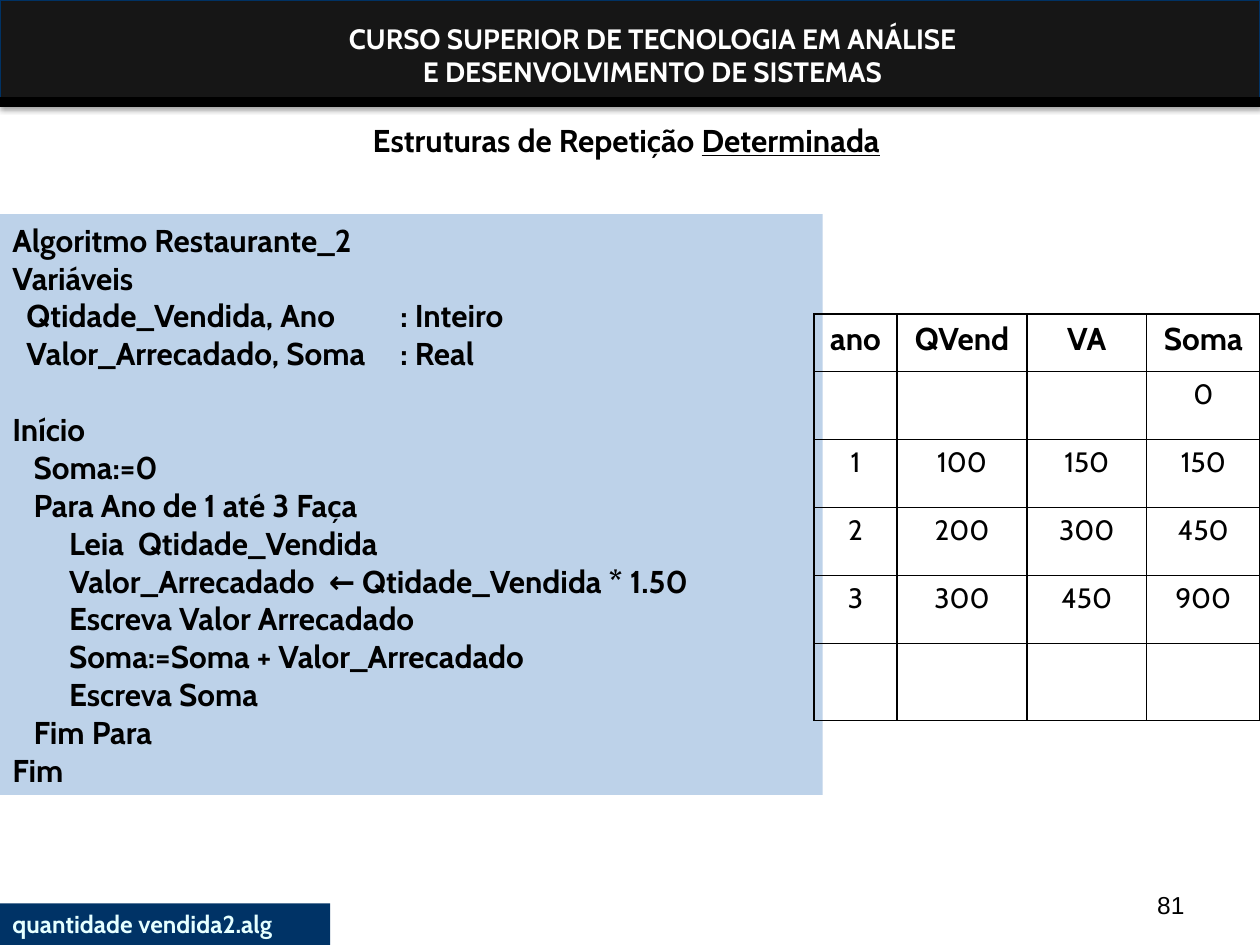
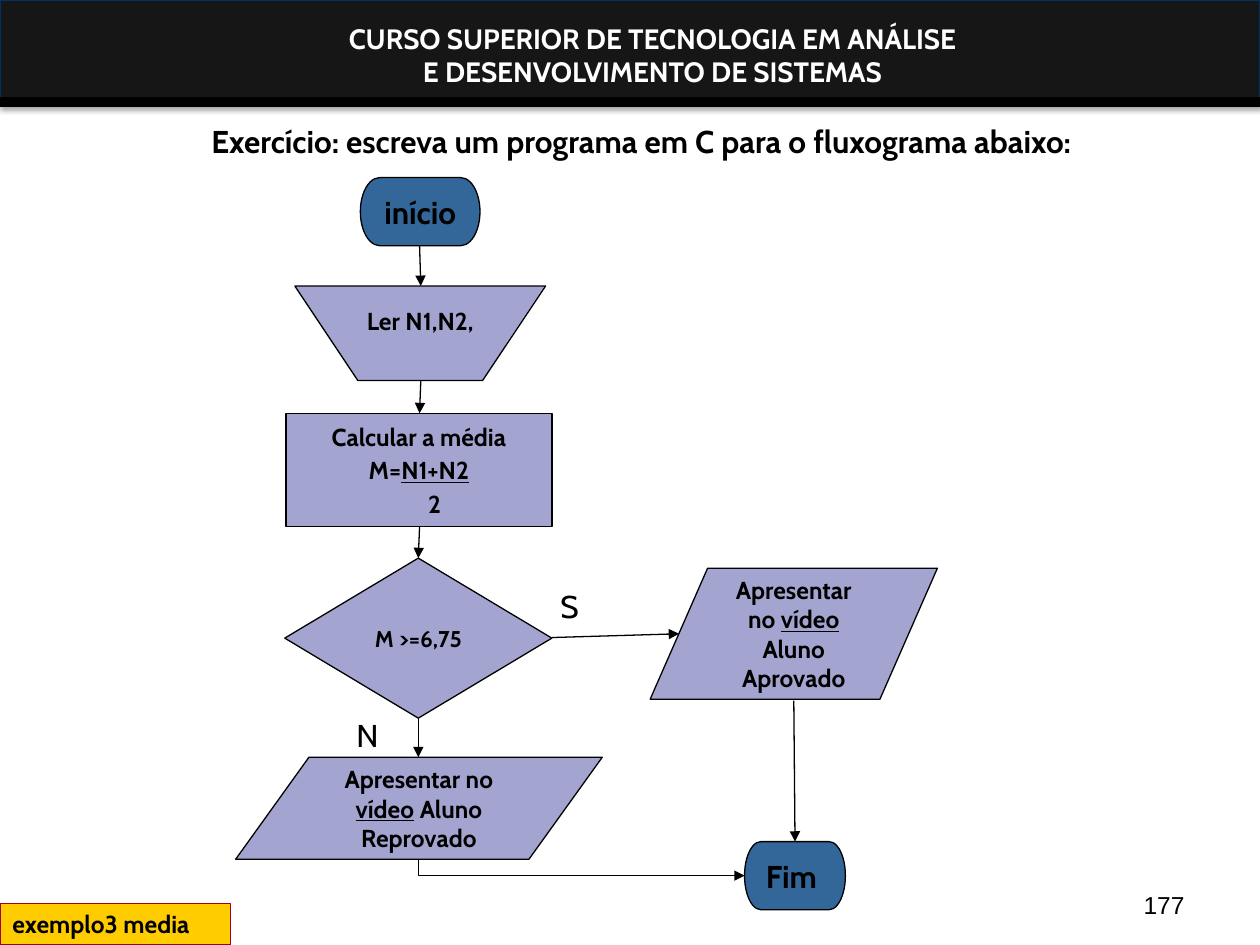
from lxml import etree
from pptx import Presentation
from pptx.dml.color import RGBColor
from pptx.enum.shapes import MSO_CONNECTOR, MSO_SHAPE
from pptx.enum.text import MSO_ANCHOR, MSO_AUTO_SIZE, PP_ALIGN
from pptx.oxml import parse_xml
from pptx.oxml.ns import nsdecls, qn
from pptx.util import Inches, Pt

LEFT, CENTER, RIGHT = PP_ALIGN.LEFT, PP_ALIGN.CENTER, PP_ALIGN.RIGHT
TOP, MIDDLE, BOTTOM = MSO_ANCHOR.TOP, MSO_ANCHOR.MIDDLE, MSO_ANCHOR.BOTTOM
RECT, TERMINATOR = MSO_SHAPE.RECTANGLE, MSO_SHAPE.FLOWCHART_TERMINATOR
PROCESS, DECISION = MSO_SHAPE.FLOWCHART_PROCESS, MSO_SHAPE.FLOWCHART_DECISION
DATA = MSO_SHAPE.FLOWCHART_DATA
STRAIGHT = MSO_CONNECTOR.STRAIGHT

BLACK = RGBColor(0x00, 0x00, 0x00)
WHITE = RGBColor(0xFF, 0xFF, 0xFF)
BAND = RGBColor(0x16, 0x16, 0x16)
BAND_EDGE = RGBColor(0x00, 0x32, 0x64)
CODE_FILL = RGBColor(0xBD, 0xD2, 0xE9)
NAVY = RGBColor(0x00, 0x33, 0x66)
ICE = RGBColor(0xE5, 0xFF, 0xFF)
GOLD = RGBColor(0xFF, 0xCC, 0x00)
CRIMSON = RGBColor(0xA5, 0x00, 0x21)
BLUE = RGBColor(0x33, 0x66, 0x99)
LILAC = RGBColor(0xA4, 0xA4, 0xD0)

# A paragraph is a string, or a tuple of runs where every second run is underlined.
COURSE = ["CURSO SUPERIOR DE TECNOLOGIA EM ANÁLISE",
          "E DESENVOLVIMENTO DE SISTEMAS"]

LOOP_TITLE = ("Estruturas de Repetição ", "Determinada")
DECLARATIONS = [
    "Algoritmo Restaurante_2",
    "Variáveis",
    "  Qtidade_Vendida, Ano\t: Inteiro",
    "  Valor_Arrecadado, Soma\t: Real",
]
BODY = [
    "Início",
    "   Soma:=0",
    "   Para Ano de 1 até 3 Faça",
    "        Leia  Qtidade_Vendida",
    "        Valor_Arrecadado  ← Qtidade_Vendida * 1.50",
    "        Escreva Valor Arrecadado",
    "        Soma:=Soma + Valor_Arrecadado",
    "        Escreva Soma",
    "   Fim Para",
    "Fim",
]
TRACE = [
    ("ano", "QVend", "VA", "Soma"),
    ("", "", "", "0"),
    ("1", "100", "150", "150"),
    ("2", "200", "300", "450"),
    ("3", "300", "450", "900"),
    ("", "", "", ""),
]
TRACE_COLS = (0.66, 1.03, 0.95, 0.9)
TRACE_ROWS = (0.46, 0.54, 0.54, 0.54, 0.54, 0.61)

FLOW_TITLE = "Exercício: escreva um programa em C para o fluxograma abaixo:"
# preset, box, fill, paragraphs, text format
NODES = [
    (TERMINATOR, (2.86, 1.41, 0.95, 0.54), BLUE, ["início"], dict(size=18, wrap=False)),
    (TERMINATOR, (5.91, 6.68, 0.8, 0.54), BLUE, ["Fim "], dict(size=18, wrap=False)),
    (PROCESS, (2.27, 3.28, 2.11, 0.9), LILAC,
     ["Calcular a média", ("M=", "N1+N2"), "2"], dict(after=2.4)),
    (DATA, (1.87, 6.01, 2.91, 0.81), LILAC,
     [("Apresentar no ", "vídeo", " Aluno Reprovado")], dict(inset=0.12)),
    (DATA, (5.16, 4.51, 2.28, 1.04), LILAC,
     [("Apresentar no ", "vídeo", " Aluno Aprovado")], dict(inset=0.12)),
    (DECISION, (2.26, 4.43, 2.12, 1.27), LILAC, ["M >=6,75"], dict(size=13)),
]
INPUT_OUTLINE = [(2.34, 2.27), (2.84, 3.02), (3.83, 3.02), (4.33, 2.27)]
ARROWS = [
    ((3.33, 1.95), (3.34, 2.27)),
    ((3.34, 3.02), (3.33, 3.28)),
    ((3.33, 4.18), (3.32, 4.43)),
    ((3.32, 5.7), (3.32, 6.01)),
    ((4.38, 5.06), (5.39, 5.03)),
    ((6.3, 5.56), (6.31, 6.68)),
]
ELBOW = ((3.32, 6.82), (5.91, 6.95))
BRANCHES = [("S", (4.35, 4.61, 0.34, 0.4)), ("N", (2.73, 5.63, 0.37, 0.4))]


def inches(values):
    return [Inches(v) for v in values]


def write(tf, paragraphs, size=14, color=BLACK, bold=True, font="Cabin",
          align=CENTER, anchor=MIDDLE, wrap=True, inset=0.1, after=0):
    tf.auto_size = MSO_AUTO_SIZE.NONE
    tf.word_wrap = wrap
    tf.vertical_anchor = anchor
    tf.margin_left = tf.margin_right = Inches(inset)
    for i, runs in enumerate(paragraphs):
        p = tf.add_paragraph() if i else tf.paragraphs[0]
        p.alignment = align
        p.space_after = Pt(after)
        for j, text in enumerate((runs,) if isinstance(runs, str) else runs):
            r = p.add_run()
            r.text = text
            f = r.font
            f.name, f.size, f.bold = font, Pt(size), bold
            f.underline = j % 2 == 1
            f.color.rgb = color


def paint(sp, fill, line=None):
    sp.shadow.inherit = False
    sp.fill.solid()
    sp.fill.fore_color.rgb = fill
    if line is None:
        sp.line.fill.background()
    else:
        sp.line.color.rgb = line
        sp.line.width = Pt(0.75)


def add_box(s, preset, box, fill, line=None):
    sp = s.shapes.add_shape(preset, *inches(box))
    paint(sp, fill, line)
    return sp


def add_text(s, box, paragraphs, **fmt):
    write(s.shapes.add_textbox(*inches(box)).text_frame, paragraphs, **fmt)


def add_line(s, start, end, width=0.75, arrow=True):
    c = s.shapes.add_connector(STRAIGHT, *inches(start + end))
    c.line.color.rgb = BLACK
    c.line.width = Pt(width)
    if arrow:
        etree.SubElement(c.line._get_or_add_ln(), qn("a:tailEnd"), type="triangle")
    etree.SubElement(c._element.spPr, qn("a:effectLst"))
    return c


def add_elbow(s, start, end):
    """Arrow that goes down and then right: a one-bend connector on its side."""
    (x1, y1), (x2, y2) = start, end
    cx, cy = (x1 + x2) / 2, (y1 + y2) / 2
    half_w, half_h = (y2 - y1) / 2, (x2 - x1) / 2
    c = add_line(s, (cx + half_w, cy - half_h), (cx - half_w, cy + half_h))
    spPr = c._element.spPr
    spPr.find(qn("a:prstGeom")).set("prst", "bentConnector2")
    spPr.find(qn("a:xfrm")).set("rot", str(270 * 60000))


def new_slide(prs, title, title_box, number):
    """Title-only slide with the course band and the page number."""
    s = prs.slides.add_slide(prs.slide_layouts[5])
    band = add_box(s, RECT, (0, 0, 10, 0.84), BAND, BAND_EDGE)
    band._element.spPr.find(qn("a:effectLst")).append(parse_xml(
        f'<a:outerShdw {nsdecls("a")} blurRad="{Pt(3.1)}" dist="{Pt(1.8)}" dir="5400000">'
        '<a:srgbClr val="000000"><a:alpha val="35000"/></a:srgbClr></a:outerShdw>'))
    add_text(s, (1.3, 0.12, 7.76, 0.64), COURSE, size=16, color=WHITE, anchor=TOP)
    add_line(s, (0, 0.81), (10, 0.81), width=6, arrow=False)
    add_text(s, (7.17, 6.83, 2.33, 0.52), [number], font="Arial", bold=False,
             align=RIGHT, anchor=BOTTOM)
    t = s.shapes.title
    t.left, t.top, t.width, t.height = inches(title_box)
    write(t.text_frame, [title], size=18)
    return s


def add_tag(s, text, width, fill, color, line=None):
    sp = add_box(s, RECT, (0, 7.17, width, 0.33), fill, line)
    write(sp.text_frame, [text], color=color, align=LEFT)


def add_code(s):
    sp = add_box(s, RECT, (0, 1.7, 6.53, 4.61), CODE_FILL)
    tf = sp.text_frame
    write(tf, DECLARATIONS + BODY, size=18, align=LEFT)
    tf.paragraphs[len(DECLARATIONS)].space_before = Pt(22)
    for p in tf.paragraphs[2:4]:
        tabs = etree.SubElement(p._p.get_or_add_pPr(), qn("a:tabLst"))
        etree.SubElement(tabs, qn("a:tab"), pos=str(Inches(3.08)), algn="l")


def add_trace(s):
    box = (6.46, 2.49, sum(TRACE_COLS), sum(TRACE_ROWS))
    frame = s.shapes.add_table(len(TRACE), len(TRACE_COLS), *inches(box))
    table = frame.table
    table.first_row = table.horz_banding = False
    for col, width in zip(table.columns, TRACE_COLS):
        col.width = Inches(width)
    for i, (row, height) in enumerate(zip(TRACE, TRACE_ROWS)):
        table.rows[i].height = Inches(height)
        for j, text in enumerate(row):
            cell = table.cell(i, j)
            if text:
                p = cell.text_frame.paragraphs[0]
                p.alignment = CENTER
                r = p.add_run()
                r.text = text
                r.font.name, r.font.bold = "Cabin", i == 0
                r.font.size = Pt(16 if i else 18)
                r.font.color.rgb = BLACK
            tcPr = cell._tc.get_or_add_tcPr()
            for side in ("lnL", "lnR", "lnT", "lnB"):
                tcPr.append(parse_xml(
                    f'<a:{side} {nsdecls("a")} w="{Pt(1)}"><a:solidFill>'
                    f'<a:srgbClr val="{BLACK}"/></a:solidFill></a:{side}>'))
            cell.fill.background()


def add_flowchart(s):
    for preset, box, fill, paragraphs, fmt in NODES:
        sp = add_box(s, preset, box, fill, BLACK)
        write(sp.text_frame, paragraphs, **fmt)
        if preset == PROCESS:
            # the divisor sits under the underlined sum
            sp.text_frame.paragraphs[-1]._p.get_or_add_pPr().set("marL", str(Inches(0.25)))
    first, *rest = [inches(point) for point in INPUT_OUTLINE]
    builder = s.shapes.build_freeform(*first)
    builder.add_line_segments(rest, close=True)
    sp = builder.convert_to_shape()
    paint(sp, LILAC, BLACK)
    write(sp.text_frame, ["Ler N1,N2,"])
    sp.text_frame.margin_bottom = Inches(0.25)
    for start, end in ARROWS:
        add_line(s, start, end)
    add_elbow(s, *ELBOW)
    for text, box in BRANCHES:
        add_text(s, box, [text], size=18, bold=False, align=LEFT, anchor=TOP)


def main():
    prs = Presentation()
    prs.slide_width, prs.slide_height = Inches(10), Inches(7.5)

    s = new_slide(prs, LOOP_TITLE, (0, 0.91, 9.94, 0.4), "81")
    add_code(s)
    add_tag(s, "quantidade vendida2.alg", 2.62, NAVY, ICE)
    add_trace(s)

    s = new_slide(prs, FLOW_TITLE, (0.59, 0.92, 9, 0.4), "177")
    add_flowchart(s)
    add_tag(s, "exemplo3 media", 1.83, GOLD, BLACK, CRIMSON)

    prs.save("out.pptx")


if __name__ == "__main__":
    main()
